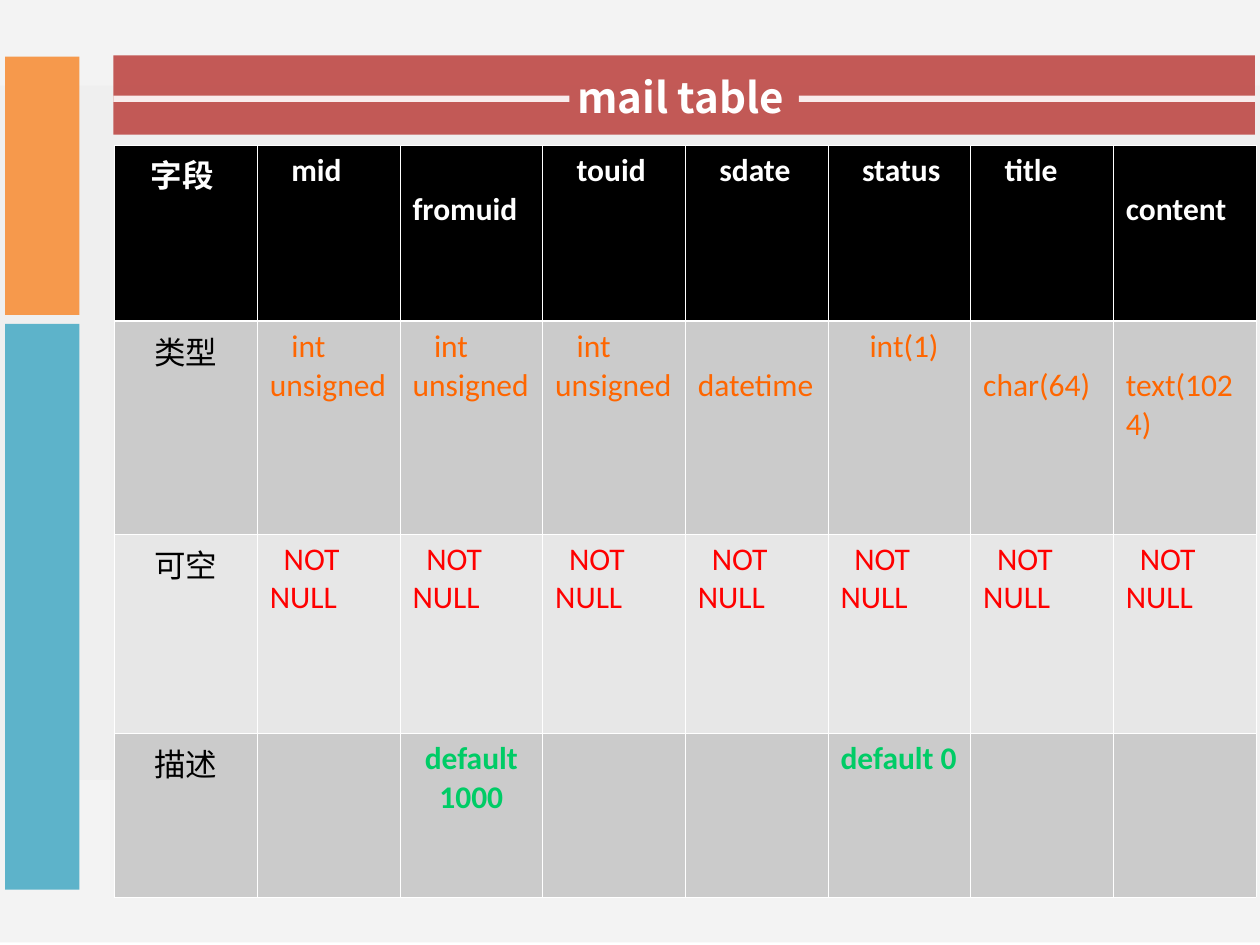
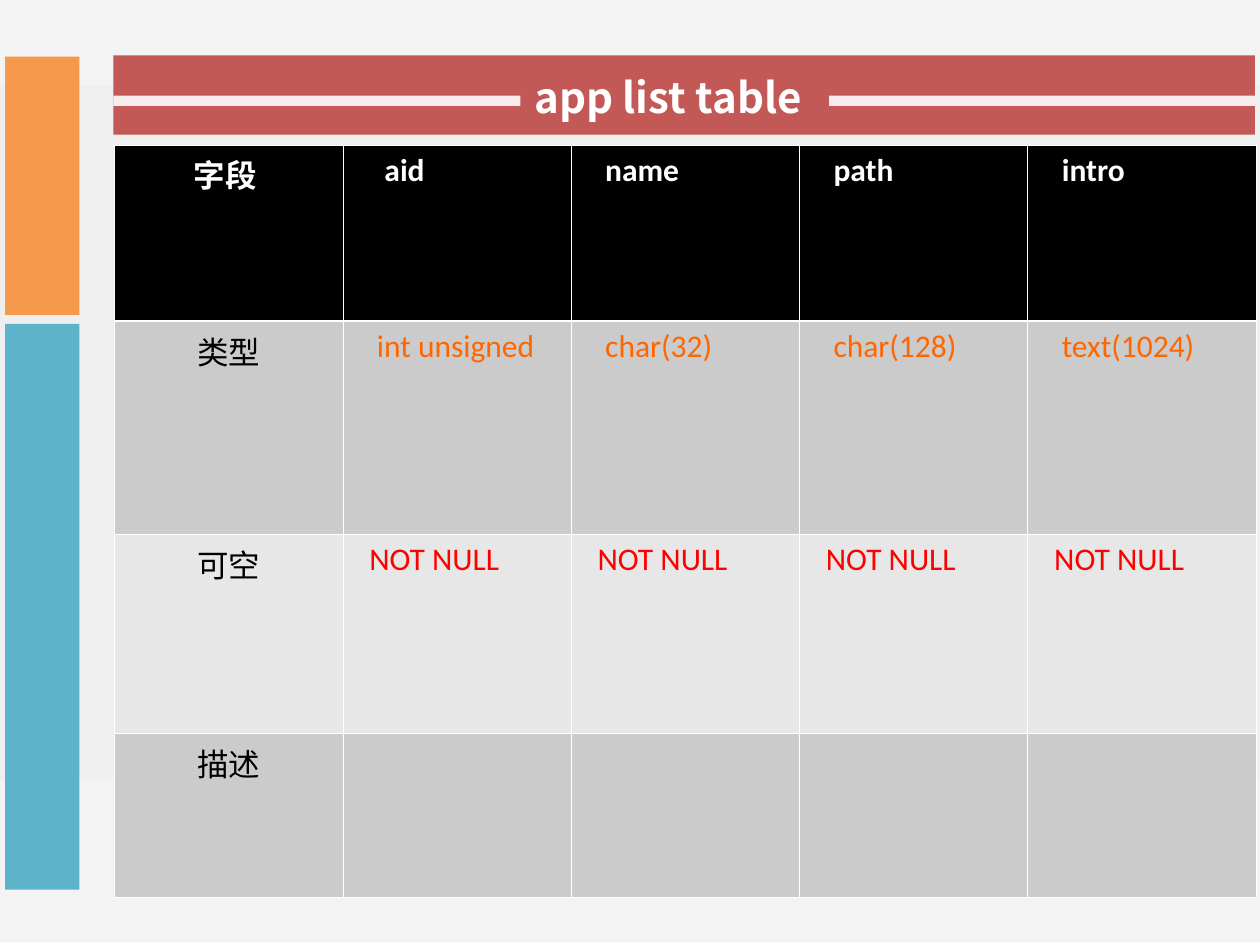
from lxml.etree import SubElement
from pptx import Presentation
from pptx.dml.color import RGBColor
from pptx.enum.shapes import MSO_SHAPE as Preset
from pptx.enum.text import MSO_ANCHOR as Anchor, MSO_AUTO_SIZE as AutoSize, PP_ALIGN as Align
from pptx.oxml.ns import qn
from pptx.util import Inches, Pt

COLORS = {
    "white": "FFFFFF", "black": "000000", "backdrop": "F2F2F2", "panel": "D8D8D8",
    "red": "C0504D", "orange": "F79646", "teal": "4BACC6",
    "dark_row": "CBCBCB", "light_row": "E7E7E7",
    "type": "FF6600", "null": "FF0000", "default": "00CC66",
}
TITLE_FONT = "Noto Sans CJK SC"
BODY_FONT = "Calibri"
TABLE_WIDTH = 9.06
ROW_HEIGHTS = [1.4, 1.69, 1.58, 1.3]
ROW_FILLS = ["black", "dark_row", "light_row", "dark_row"]
LABELS = ["字段 ", "类型", "可空", "描述"]
LABEL_COLORS = ["white", "black", "black", "black"]
VALUE_COLORS = ["white", "type", "null", "default"]
ROW_INDENTS = [0.17, 0.17, 0.11, 0]
WIDE_INDENTS = {"aid": 0.23, "int(1)": 0.23}
LINE_HEIGHT = 0.31
THIN, THICK = 0.45, 1.47


def write(frame, text, *, font=BODY_FONT, size=18, color="black", bold=False,
          align=Align.LEFT, anchor=Anchor.TOP, indent=0, before=0):
    frame.vertical_anchor = anchor
    paragraph = frame.paragraphs[0]
    paragraph.alignment = align
    paragraph.space_before = Pt(before)
    if indent:
        paragraph._p.get_or_add_pPr().set("indent", str(Inches(indent)))
    run = paragraph.add_run()
    run.text = text
    run.font.name = font
    run.font.size = Pt(size)
    run.font.bold = bold
    run.font.color.rgb = RGBColor.from_string(COLORS[color])


class Deck:
    def __init__(self):
        self.presentation = Presentation()
        self.presentation.slide_width = Inches(10)
        self.presentation.slide_height = Inches(7.5)
        self.layout = self.presentation.slide_layouts[5]
        self.slide = None

    def new_slide(self):
        self.slide = self.presentation.slides.add_slide(self.layout)

    def box(self, left, top, width, height, color, opacity):
        shape = self.slide.shapes.add_shape(
            Preset.RECTANGLE, Inches(left), Inches(top), Inches(width), Inches(height))
        shape.shadow.inherit = False
        shape.line.fill.background()
        shape.fill.solid()
        shape.fill.fore_color.rgb = RGBColor.from_string(COLORS[color])
        tint = shape._element.spPr.find(".//" + qn("a:srgbClr"))
        SubElement(tint, qn("a:alpha"), val=str(opacity * 1000))
        return shape

    def backdrop(self):
        boxes = [self.box(0, -0.02, 10, 7.5, "backdrop", 89),
                 self.box(0, 0.68, 10.04, 5.51, "panel", 14)]
        for position, shape in enumerate(boxes):
            shape._element.nvSpPr.cNvPr.id = 100 + position
            self.layout.shapes._spTree.insert(2 + position, shape._element)

    def bands(self):
        self.box(0.9, 0.44, 9.06, 0.63, "red", 94)
        self.box(0.04, 0.45, 0.59, 2.05, "orange", 96)
        self.box(0.04, 2.57, 0.59, 4.49, "teal", 89)

    def title(self, text, left, width, rule_ends, rule_height):
        left_end, right_start = rule_ends
        self.box(0.9, 0.76, left_end - 0.9, rule_height, "white", 89)
        self.box(right_start, 0.76, 9.96 - right_start, rule_height, "white", 89)
        title = self.slide.shapes.title
        title.left, title.top = Inches(left), Inches(0.52)
        title.width, title.height = Inches(width), Inches(0.5)
        title.text_frame.word_wrap = False
        title.text_frame.auto_size = AutoSize.SHAPE_TO_FIT_TEXT
        write(title.text_frame, text, font=TITLE_FONT, size=24, color="white", bold=True)
        self.slide.shapes._spTree.append(title._element)

    def borders(self, cell, row):
        properties = cell._tc.get_or_add_tcPr()
        widths = {"lnL": THIN, "lnR": THIN,
                  "lnT": THICK if row == 1 else THIN,
                  "lnB": THICK if row == 0 else THIN}
        for position, (side, width) in enumerate(widths.items()):
            line = SubElement(properties, qn("a:" + side), w=str(Pt(width)))
            fill = SubElement(line, qn("a:solidFill"))
            SubElement(fill, qn("a:srgbClr"), val=COLORS["white"])
            properties.insert(position, line)

    def value(self, cell, text, row, column_width):
        indent = WIDE_INDENTS.get(text, ROW_INDENTS[row])
        if indent and column_width < 1.5 and len(text.split()[0]) > 6:
            indent = 0
            cell.margin_top = Inches(0.05 + LINE_HEIGHT)
        is_default = row == 3
        write(cell.text_frame, text, color=VALUE_COLORS[row], bold=row in (0, 3),
              align=Align.CENTER if is_default and len(text) > 9 else Align.LEFT,
              anchor=Anchor.MIDDLE if is_default else Anchor.TOP,
              indent=indent, before=4.5)

    def schema_table(self, fields):
        columns = len(fields) + 1
        column_width = TABLE_WIDTH / columns
        table = self.slide.shapes.add_table(
            len(LABELS), columns, Inches(0.91), Inches(1.15),
            Inches(TABLE_WIDTH), Inches(sum(ROW_HEIGHTS))).table
        table.first_row = table.horz_banding = False
        for row, height in enumerate(ROW_HEIGHTS):
            table.rows[row].height = Inches(height)
            for column in range(columns):
                cell = table.cell(row, column)
                cell.fill.solid()
                cell.fill.fore_color.rgb = RGBColor.from_string(COLORS[ROW_FILLS[row]])
                self.borders(cell, row)
                if column == 0:
                    write(cell.text_frame, LABELS[row], color=LABEL_COLORS[row],
                          bold=row == 0, align=Align.CENTER, before=4.5)
                    continue
                name, kind, default = fields[column - 1]
                text = (name, kind, "NOT NULL", default)[row]
                if text:
                    self.value(cell, text, row, column_width)


MAIL_FIELDS = [
    ("mid", "int unsigned", ""),
    ("fromuid", "int unsigned", "default 1000"),
    ("touid", "int unsigned", ""),
    ("sdate", "datetime", ""),
    ("status", "int(1)", "default 0"),
    ("title", "char(64)", ""),
    ("content", "text(1024)", ""),
]
APP_FIELDS = [
    ("aid", "int unsigned", ""),
    ("name", "char(32)", ""),
    ("path", "char(128)", ""),
    ("intro", "text(1024)", ""),
]


def main():
    deck = Deck()

    deck.new_slide()
    deck.backdrop()
    deck.bands()
    deck.title("mail table", 4.48, 1.87, (4.52, 6.34), 0.05)
    deck.schema_table(MAIL_FIELDS)

    deck.new_slide()
    deck.bands()
    deck.title("app list table", 4.14, 2.36, (4.13, 6.58), 0.08)
    deck.schema_table(APP_FIELDS)

    deck.presentation.save("out.pptx")


if __name__ == "__main__":
    main()
